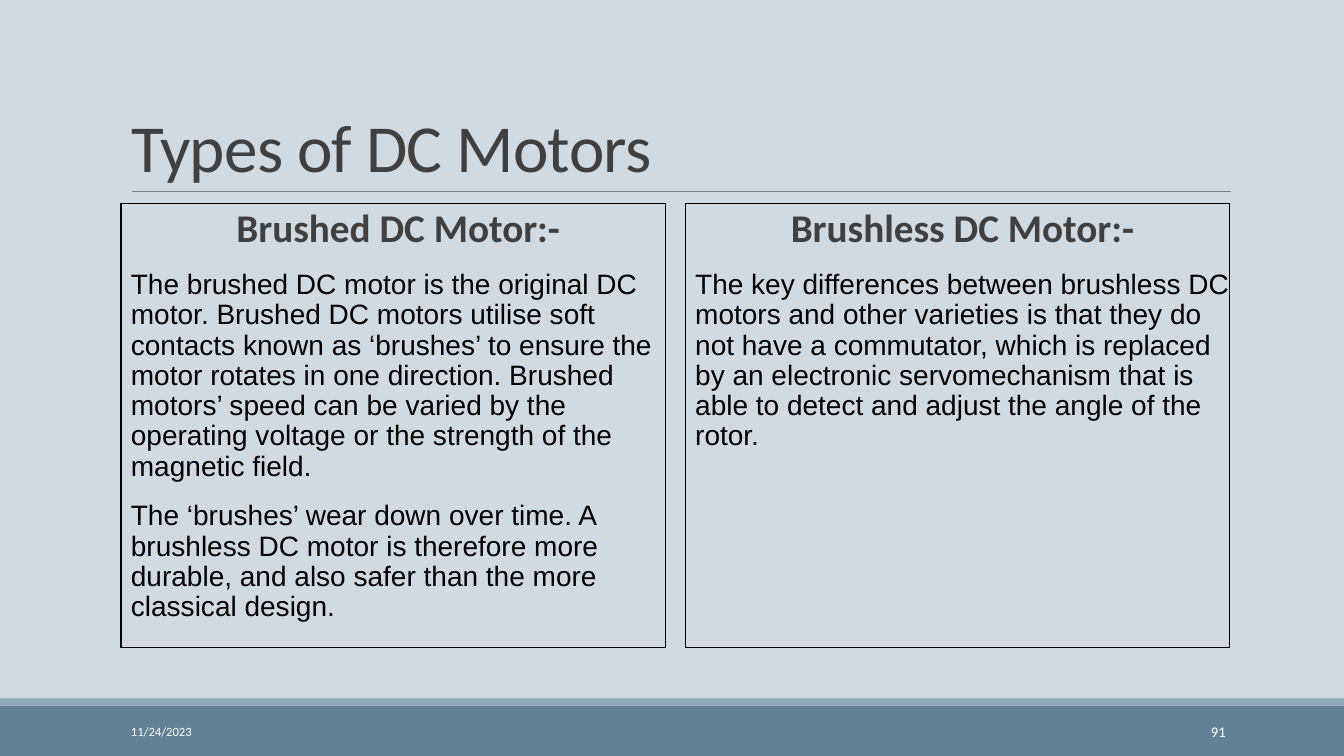
import pptx
import pptx.util
import pptx.dml.color
import pptx.enum.shapes
import pptx.enum.text
import pptx.oxml.ns
import lxml.etree

Cm = pptx.util.Cm
Pt = pptx.util.Pt
RGBColor = pptx.dml.color.RGBColor
PP_ALIGN = pptx.enum.text.PP_ALIGN
MSO_ANCHOR = pptx.enum.text.MSO_ANCHOR

BACKGROUND = RGBColor(0xD1, 0xD9, 0xE1)
FOOTER_BAND = RGBColor(0x61, 0x81, 0x97)
FOOTER_STRIPE = RGBColor(0x92, 0xA9, 0xB9)
RULE_GREY = RGBColor(0x80, 0x80, 0x80)
HEADING_GREY = RGBColor(0x40, 0x40, 0x40)
BLACK = RGBColor(0, 0, 0)
WHITE = RGBColor(0xFF, 0xFF, 0xFF)

MOTOR_TYPES = [
    ("Brushed DC Motor:-", [
        "The brushed DC motor is the original DC motor. Brushed DC motors utilise soft "
        "contacts known as ‘brushes’ to ensure the motor rotates in one direction. Brushed "
        "motors’ speed can be varied by the operating voltage or the strength of the "
        "magnetic field.",
        "The ‘brushes’ wear down over time. A brushless DC motor is therefore more durable, "
        "and also safer than the more classical design.",
    ]),
    ("Brushless DC Motor:-", [
        "The key differences between brushless DC motors and other varieties is that they do "
        "not have a commutator, which is replaced by an electronic servomechanism that is "
        "able to detect and adjust the angle of the rotor.",
    ]),
]


def format_runs(paragraph, font_name, size, color, bold=False):
    for run in paragraph.runs:
        run.font.name = font_name
        run.font.size = Pt(size)
        run.font.color.rgb = color
        run.font.bold = bold


presentation = pptx.Presentation()
presentation.slide_width = Cm(33.87)
presentation.slide_height = Cm(19.05)
slide = presentation.slides.add_slide(presentation.slide_layouts[5])
slide.background.fill.solid()
slide.background.fill.fore_color.rgb = BACKGROUND

# Footer bands
for top, height, color in [(17.78, 1.27, FOOTER_BAND), (17.6, 0.18, FOOTER_STRIPE)]:
    band = slide.shapes.add_shape(pptx.enum.shapes.MSO_SHAPE.RECTANGLE,
                                  0, Cm(top), presentation.slide_width, Cm(height))
    band.shadow.inherit = False
    band.fill.solid()
    band.fill.fore_color.rgb = color
    band.line.fill.background()

# Title and the rule below it
title = slide.shapes.title
title.left, title.top, title.width, title.height = Cm(3.05), Cm(0.79), Cm(27.94), Cm(4.04)
title.text_frame.text = "Types of DC Motors"
title.text_frame.auto_size = pptx.enum.text.MSO_AUTO_SIZE.NONE
title.text_frame.vertical_anchor = MSO_ANCHOR.BOTTOM
paragraph = title.text_frame.paragraphs[0]
paragraph.alignment = PP_ALIGN.LEFT
paragraph.line_spacing = 0.85
format_runs(paragraph, "Calibri", 48, HEADING_GREY)
paragraph.runs[0].font._element.set("spc", "-50")

rule = slide.shapes.add_connector(pptx.enum.shapes.MSO_CONNECTOR.STRAIGHT,
                                  Cm(3.33), Cm(4.82), Cm(31.01), Cm(4.82))
rule.line.color.rgb = RULE_GREY
rule.line.width = Pt(0.5)
lxml.etree.SubElement(rule._element.spPr, pptx.oxml.ns.qn("a:effectLst"))

# Two framed columns, one per motor type
for column, (heading, descriptions) in enumerate(MOTOR_TYPES):
    panel = slide.shapes.add_textbox(Cm(3.05 + column * 14.22), Cm(5.13), Cm(13.72), Cm(11.18))
    panel.line.color.rgb = BLACK
    panel.line.width = Pt(0.75)
    text_frame = panel.text_frame
    text_frame.word_wrap = True
    text_frame.margin_left, text_frame.margin_right = Cm(0.25), 0
    text_frame.text = "\n".join([heading] + descriptions)
    for index, paragraph in enumerate(text_frame.paragraphs):
        paragraph.line_spacing = 0.9
        paragraph.space_after = Pt(2)
        if index == 0:
            paragraph.alignment = PP_ALIGN.CENTER
            format_runs(paragraph, "Calibri", 28, HEADING_GREY, bold=True)
        else:
            paragraph.space_before = Pt(12)
            format_runs(paragraph, "Arial", 20, BLACK)

# Date and slide number
for text, left, width, size, alignment in [
    ("11/24/2023", 3.05, 6.86, 9, PP_ALIGN.LEFT),
    ("91", 27.51, 3.63, 10.5, PP_ALIGN.RIGHT),
]:
    footer = slide.shapes.add_textbox(Cm(left), Cm(17.93), Cm(width), Cm(1.02))
    footer.text_frame.word_wrap = True
    footer.text_frame.vertical_anchor = MSO_ANCHOR.MIDDLE
    footer.text_frame.text = text
    paragraph = footer.text_frame.paragraphs[0]
    paragraph.alignment = alignment
    format_runs(paragraph, "Calibri", size, WHITE)

presentation.save("out.pptx")
